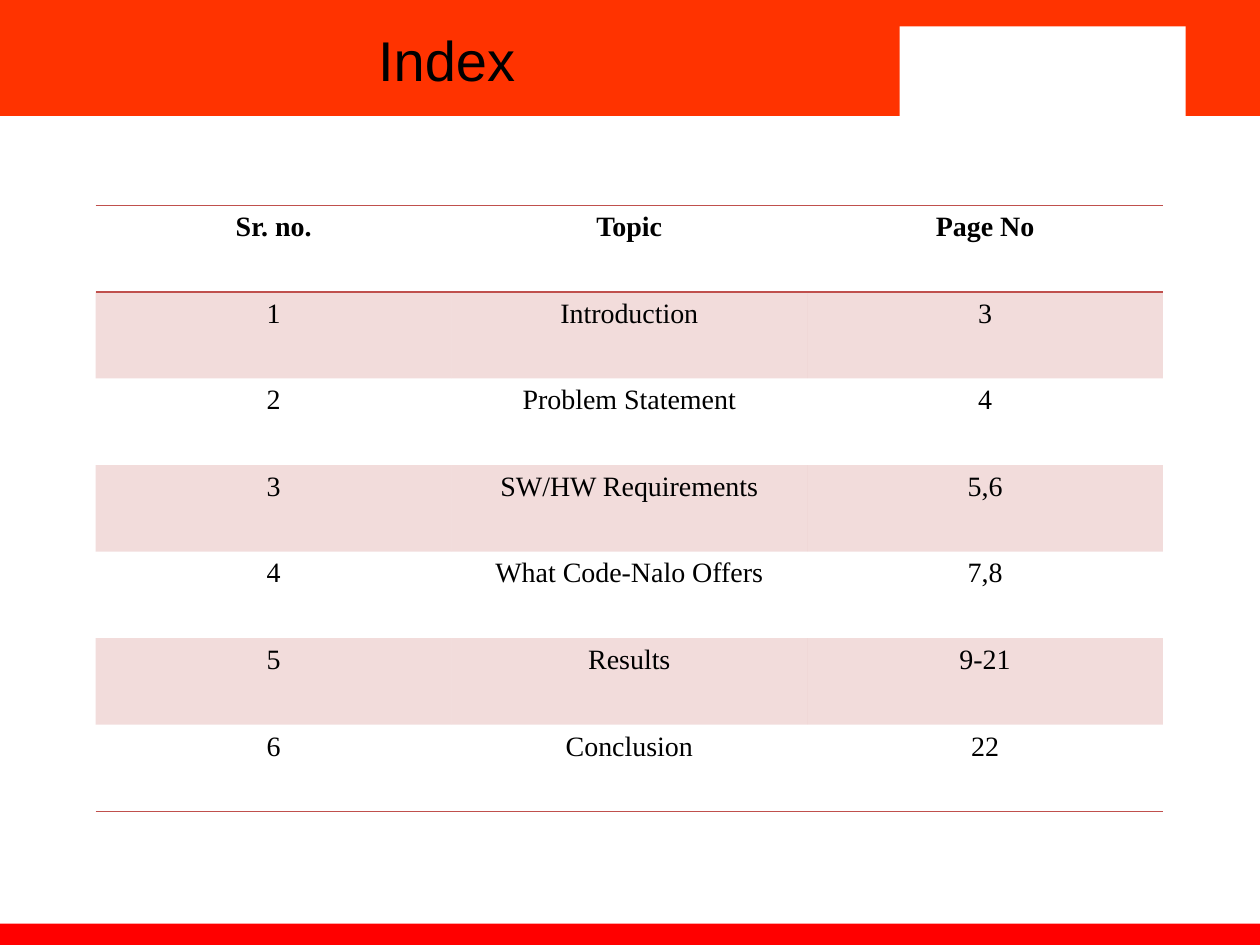
from dataclasses import dataclass

from lxml import etree
from pptx import Presentation
from pptx.dml.color import RGBColor
from pptx.enum import shapes, text
from pptx.oxml.ns import qn
from pptx.util import Inches, Pt


@dataclass(frozen=True)
class Theme:
    banner: str = "FF3300"
    footer: str = "FF0000"
    paper: str = "FFFFFF"
    ink: str = "000000"
    accent: str = "C0504D"
    band_opacity: int = 20
    rule_width: float = 1
    title_font: str = "Arial"
    title_size: int = 32
    table_font: str = "Times New Roman"
    table_size: int = 16


THEME = Theme()
PLAIN_TABLE_STYLE = "{2D5ABB26-0587-4C30-8999-92F81FD0307C}"

INDEX = [
    ("Sr. no.", "Topic", "Page No"),
    ("1", "Introduction", "3"),
    ("2", "Problem Statement", "4"),
    ("3", "SW/HW Requirements", "5,6"),
    ("4", "What Code-Nalo Offers", "7,8"),
    ("5", "Results", "9-21"),
    ("6", "Conclusion", "22"),
]


def add_block(slide, left, top, width, height, color):
    block = slide.shapes.add_shape(
        shapes.MSO_SHAPE.RECTANGLE,
        Inches(left), Inches(top), Inches(width), Inches(height))
    block.shadow.inherit = False
    block.fill.solid()
    block.fill.fore_color.rgb = RGBColor.from_string(color)
    block.line.fill.background()


def format_centred(paragraph, font_name, size, bold=False):
    paragraph.alignment = text.PP_ALIGN.CENTER
    for run in paragraph.runs:
        run.font.name = font_name
        run.font.size = Pt(size)
        run.font.bold = bold
        run.font.color.rgb = RGBColor.from_string(THEME.ink)


def add_title(slide, wording):
    title = slide.shapes.add_textbox(0, 0, Inches(7.09), Inches(1))
    frame = title.text_frame
    frame.word_wrap = True
    frame.vertical_anchor = text.MSO_ANCHOR.MIDDLE
    frame.margin_left = frame.margin_right = 0
    frame.margin_top = frame.margin_bottom = 0
    frame.text = wording
    frame.paragraphs[0].line_spacing = 0.9
    format_centred(frame.paragraphs[0], THEME.title_font, THEME.title_size)


def add_rule(cell, side):
    """Draw a cell border; side is lnT or lnB."""
    rule = etree.Element(qn(f"a:{side}"), w=str(Pt(THEME.rule_width)))
    paint = etree.SubElement(rule, qn("a:solidFill"))
    etree.SubElement(paint, qn("a:srgbClr"), val=THEME.accent)
    properties = cell._tc.get_or_add_tcPr()
    # Borders come before the fill, top before bottom
    borders = [child for child in properties if child.tag == qn("a:lnT")]
    properties.insert(len(borders), rule)


def tint(cell):
    cell.fill.solid()
    cell.fill.fore_color.rgb = RGBColor.from_string(THEME.accent)
    color = cell._tc.tcPr.find(f"{qn('a:solidFill')}/{qn('a:srgbClr')}")
    etree.SubElement(color, qn("a:alpha"), val=str(THEME.band_opacity * 1000))


def add_index_table(slide, entries):
    frame = slide.shapes.add_table(
        len(entries), len(entries[0]),
        Inches(0.76), Inches(1.63), Inches(8.47), Inches(4.81))
    table = frame.table
    table.first_row = table.horz_banding = False
    table._tbl.tblPr.find(qn("a:tableStyleId")).text = PLAIN_TABLE_STYLE

    last = len(entries) - 1
    for row, entry in enumerate(entries):
        for column, wording in enumerate(entry):
            cell = table.cell(row, column)
            cell.text = wording
            format_centred(cell.text_frame.paragraphs[0], THEME.table_font,
                           THEME.table_size, bold=row == 0)
            if row % 2:
                tint(cell)
            else:
                cell.fill.background()
            if row == 0:
                add_rule(cell, "lnT")
            if row in (0, last):
                add_rule(cell, "lnB")


def main():
    deck = Presentation()
    deck.slide_width, deck.slide_height = Inches(10), Inches(7.5)
    slide = deck.slides.add_slide(deck.slide_layouts[6])

    # Banner, footer bar and the white panel at top right
    add_block(slide, 0, 0, 10, 0.92, THEME.banner)
    add_block(slide, 0, 7.33, 10, 0.22, THEME.footer)
    add_block(slide, 6.72, 0, 3.28, 0.92, THEME.banner)
    add_block(slide, 7.14, 0.21, 2.27, 0.75, THEME.paper)

    # Heading and contents
    add_title(slide, "Index")
    add_index_table(slide, INDEX)

    deck.save("out.pptx")


if __name__ == "__main__":
    main()
